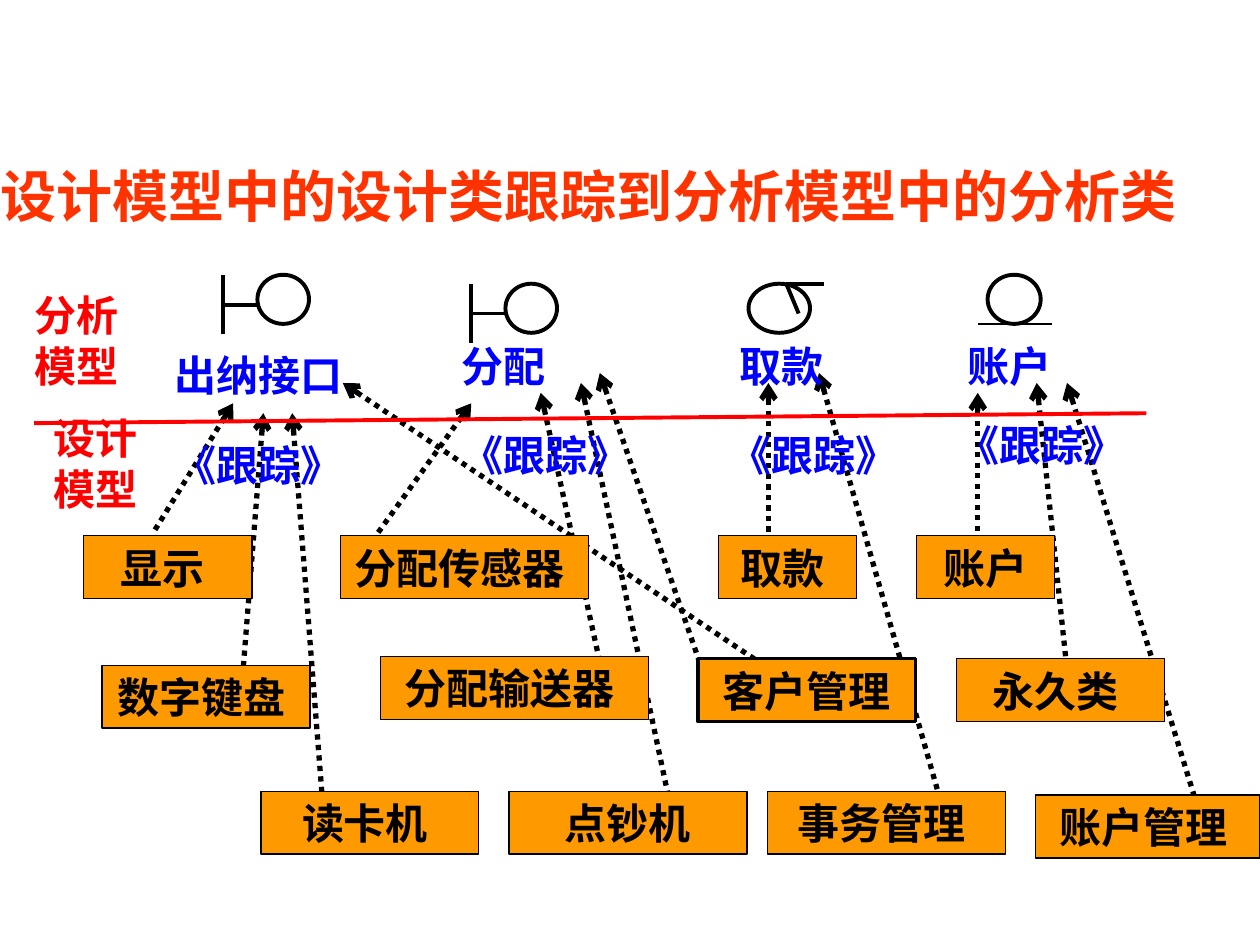
from dataclasses import dataclass

from lxml import etree
from pptx import Presentation
from pptx.dml.color import RGBColor
from pptx.enum.dml import MSO_LINE
from pptx.enum.shapes import MSO_CONNECTOR, MSO_SHAPE
from pptx.enum.text import MSO_ANCHOR, MSO_AUTO_SIZE, PP_ALIGN
from pptx.oxml.ns import qn
from pptx.util import Cm, Pt

STRAIGHT = MSO_CONNECTOR.STRAIGHT
DOTTED = MSO_LINE.ROUND_DOT
RECTANGLE = MSO_SHAPE.RECTANGLE
OVAL = MSO_SHAPE.OVAL
MIDDLE = MSO_ANCHOR.MIDDLE
TOP = MSO_ANCHOR.TOP
NO_AUTOFIT = MSO_AUTO_SIZE.NONE
LEFT = PP_ALIGN.LEFT
CENTER = PP_ALIGN.CENTER

SERIF = "Times New Roman"
COMIC = "Comic Neue"
COLORS = {
    "title": "FF3300",
    "model": "FF0000",
    "analysis": "0000FF",
    "box": "FF9900",
    "ink": "000000",
}
ROW_HEIGHT = 1.27
SYMBOL_LINE = 2.25
SYMBOL_HEIGHT = 0.99


@dataclass
class Trace:
    analysis_x: float
    analysis_y: float
    design_x: float
    design_y: float


@dataclass
class Label:
    text: str
    left: float
    top: float
    width: float
    height: float = ROW_HEIGHT
    color: str = "analysis"


@dataclass
class DesignClass:
    text: str
    left: float
    top: float
    width: float
    border: float = 0.75


TRACES = [
    Trace(9.5, 8.13, 7.49, 10.92),
    Trace(10.9, 7.92, 12.09, 13.34),
    Trace(11.71, 7.72, 13.49, 16.13),
    Trace(12.09, 7.52, 14.1, 13.34),
    Trace(15.49, 7.72, 15.49, 10.92),
    Trace(16.51, 7.52, 18.9, 15.93),
    Trace(19.71, 7.92, 19.71, 10.92),
    Trace(20.9, 7.72, 21.51, 13.51),
    Trace(21.51, 7.72, 24.1, 16.13),
    Trace(6.91, 7.72, 15.29, 13.34),
    Trace(4.7, 8.13, 3.1, 10.72),
    Trace(5.31, 8.33, 4.9, 13.51),
    Trace(5.89, 8.33, 6.5, 16.13),
]
TRACE_LABELS = [
    Label("《跟踪》", left, top, 3.81)
    for left, top in [(9.3, 8.53), (14.71, 8.53), (19.3, 8.33), (3.51, 8.74)]
]
DESIGN_CLASSES = [
    DesignClass("分配传感器 ", 6.86, 10.8, 5),
    DesignClass("取款 ", 14.48, 10.8, 2.79),
    DesignClass("账户", 18.47, 10.8, 2.79),
    DesignClass("分配输送器 ", 7.67, 13.23, 5.41),
    DesignClass("客户管理", 14.07, 13.28, 4.39, border=2),
    DesignClass("永久类 ", 19.28, 13.28, 4.19),
    DesignClass("点钞机", 10.26, 15.95, 4.8),
    DesignClass("事务管理 ", 15.47, 15.95, 4.8),
    DesignClass("账户管理 ", 20.88, 16.03, 4.52),
    DesignClass("显示 ", 1.68, 10.8, 3.4),
    DesignClass("数字键盘 ", 2.06, 13.41, 4.19),
    DesignClass("读卡机 ", 5.26, 15.95, 4.39),
]
DESIGN_MODEL = Label("设计\n模型", 1.07, 8.2, 2.21, 2.29, "model")
ANALYSIS_LABELS = [
    Label("出纳接口", 3.51, 6.93, 3.91),
    Label("分配", 9.3, 6.73, 2.21),
    Label("取款", 14.91, 6.73, 2.21),
    Label("账户", 19.51, 6.73, 2.21),
    Label("分析\n模型", 0.69, 5.72, 2.21, 2.29, "model"),
]


def rgb(name: str) -> RGBColor:
    return RGBColor.from_string(COLORS[name])


def write(shape, text: str, font: str, color: str, size=24, align=LEFT, anchor=TOP):
    frame = shape.text_frame
    frame.text = text
    frame.word_wrap = True
    frame.auto_size = NO_AUTOFIT
    frame.vertical_anchor = anchor
    frame.margin_left = frame.margin_right = 0
    for paragraph in frame.paragraphs:
        paragraph.alignment = align
        paragraph.font.name = font
        paragraph.font.size = Pt(size)
        paragraph.font.bold = True
        paragraph.font.color.rgb = rgb(color)


def draw_line(slide, x1: float, y1: float, x2: float, y2: float,
              width: float = SYMBOL_LINE, color: str = "ink"):
    connector = slide.shapes.add_connector(STRAIGHT, Cm(x1), Cm(y1), Cm(x2), Cm(y2))
    connector.line.width = Pt(width)
    connector.line.color.rgb = rgb(color)
    etree.SubElement(connector._element.spPr, qn("a:effectLst"))
    return connector


def draw_trace(slide, trace: Trace):
    arrow = draw_line(slide, trace.analysis_x, trace.analysis_y,
                      trace.design_x, trace.design_y, 3)
    arrow.line.dash_style = DOTTED
    etree.SubElement(arrow.line._get_or_add_ln(), qn("a:headEnd"), type="arrow")


def draw_label(slide, label: Label):
    box = slide.shapes.add_textbox(
        Cm(label.left), Cm(label.top), Cm(label.width), Cm(label.height))
    write(box, label.text, COMIC, label.color)


def draw_design_class(slide, item: DesignClass):
    box = slide.shapes.add_shape(
        RECTANGLE, Cm(item.left), Cm(item.top), Cm(item.width), Cm(ROW_HEIGHT))
    box.shadow.inherit = False
    box.fill.solid()
    box.fill.fore_color.rgb = rgb("box")
    box.line.color.rgb = rgb("ink")
    box.line.width = Pt(item.border)
    write(box, item.text, SERIF, "ink", align=CENTER, anchor=MIDDLE)


def draw_circle(slide, left: float, top: float, width: float):
    circle = slide.shapes.add_shape(
        OVAL, Cm(left), Cm(top), Cm(width), Cm(SYMBOL_HEIGHT))
    circle.shadow.inherit = False
    circle.fill.background()
    circle.line.color.rgb = rgb("ink")
    circle.line.width = Pt(SYMBOL_LINE)


def draw_boundary(slide, left: float, top: float):
    draw_circle(slide, left + 0.69, top, 1.04)
    draw_line(slide, left, top, left, top + 1.2)
    draw_line(slide, left + 0.69, top + 0.6, left, top + 0.6)


def draw_control(slide, left: float, top: float):
    draw_circle(slide, left, top, 1.24)
    draw_line(slide, left + 0.76, top, left + 1.52, top)
    draw_line(slide, left + 0.76, top, left + 1.01, top + 0.6)


def draw_entity(slide, left: float, top: float):
    base = top + SYMBOL_HEIGHT
    draw_circle(slide, left + 0.2, top, 1.07)
    draw_line(slide, left, base, left + 1.5, base, 0.75)


def main():
    prs = Presentation()
    prs.slide_width, prs.slide_height = Cm(25.4), Cm(19.05)
    slide = prs.slides.add_slide(prs.slide_layouts[5])
    title = slide.shapes.title
    title.left, title.top, title.width, title.height = Cm(0), Cm(3.12), Cm(25.4), Cm(1.63)
    write(title, "设计模型中的设计类跟踪到分析模型中的分析类", SERIF, "title", 32, anchor=MIDDLE)

    for trace in TRACES:
        draw_trace(slide, trace)
    for label in TRACE_LABELS:
        draw_label(slide, label)
    for item in DESIGN_CLASSES:
        draw_design_class(slide, item)
    draw_label(slide, DESIGN_MODEL)
    draw_line(slide, 0.69, 8.53, 23.11, 8.33, color="model")
    draw_entity(slide, 19.71, 5.54)
    draw_boundary(slide, 4.5, 5.54)
    draw_boundary(slide, 9.5, 5.72)
    draw_control(slide, 15.09, 5.72)
    for label in ANALYSIS_LABELS:
        draw_label(slide, label)
    prs.save("out.pptx")


if __name__ == "__main__":
    main()
